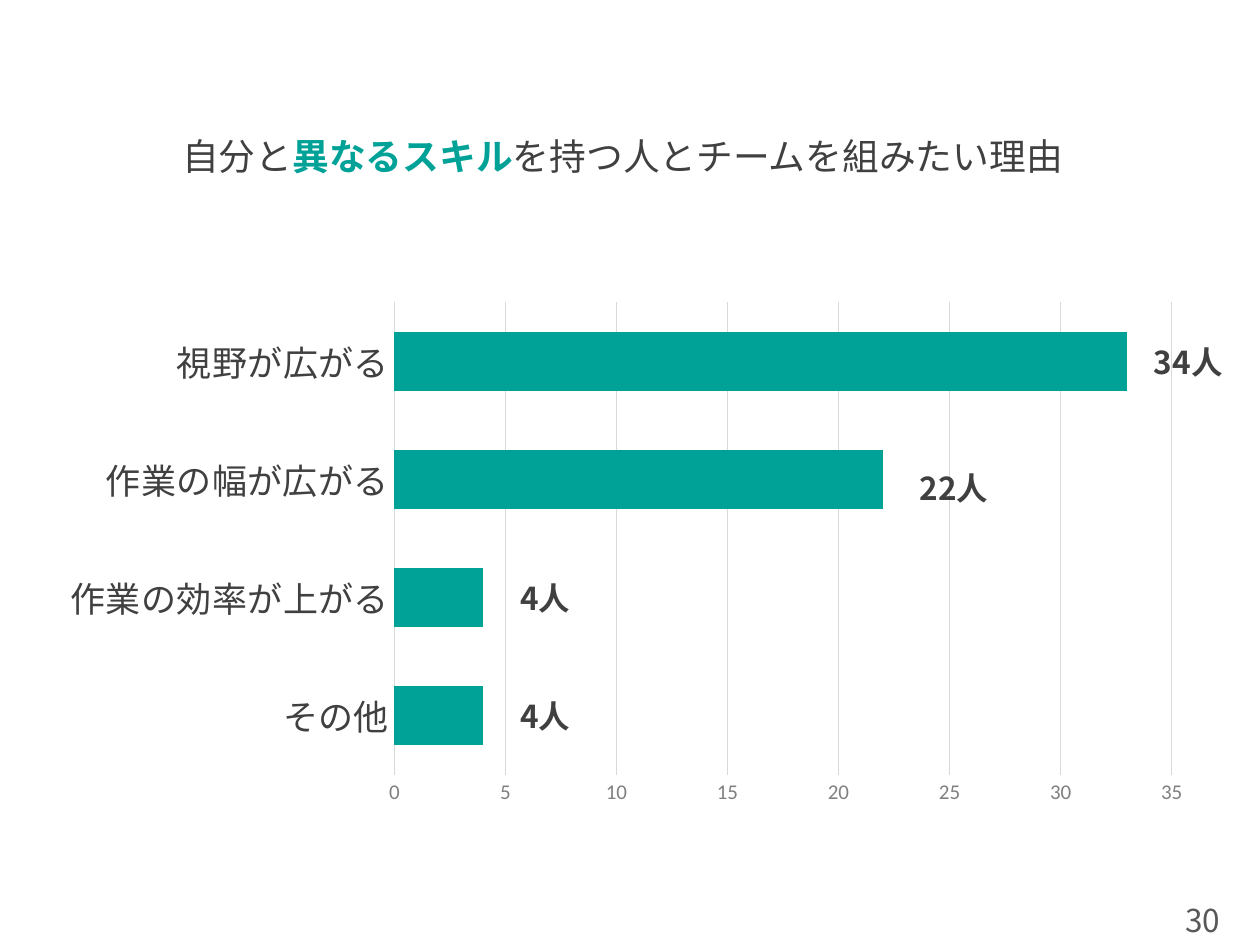
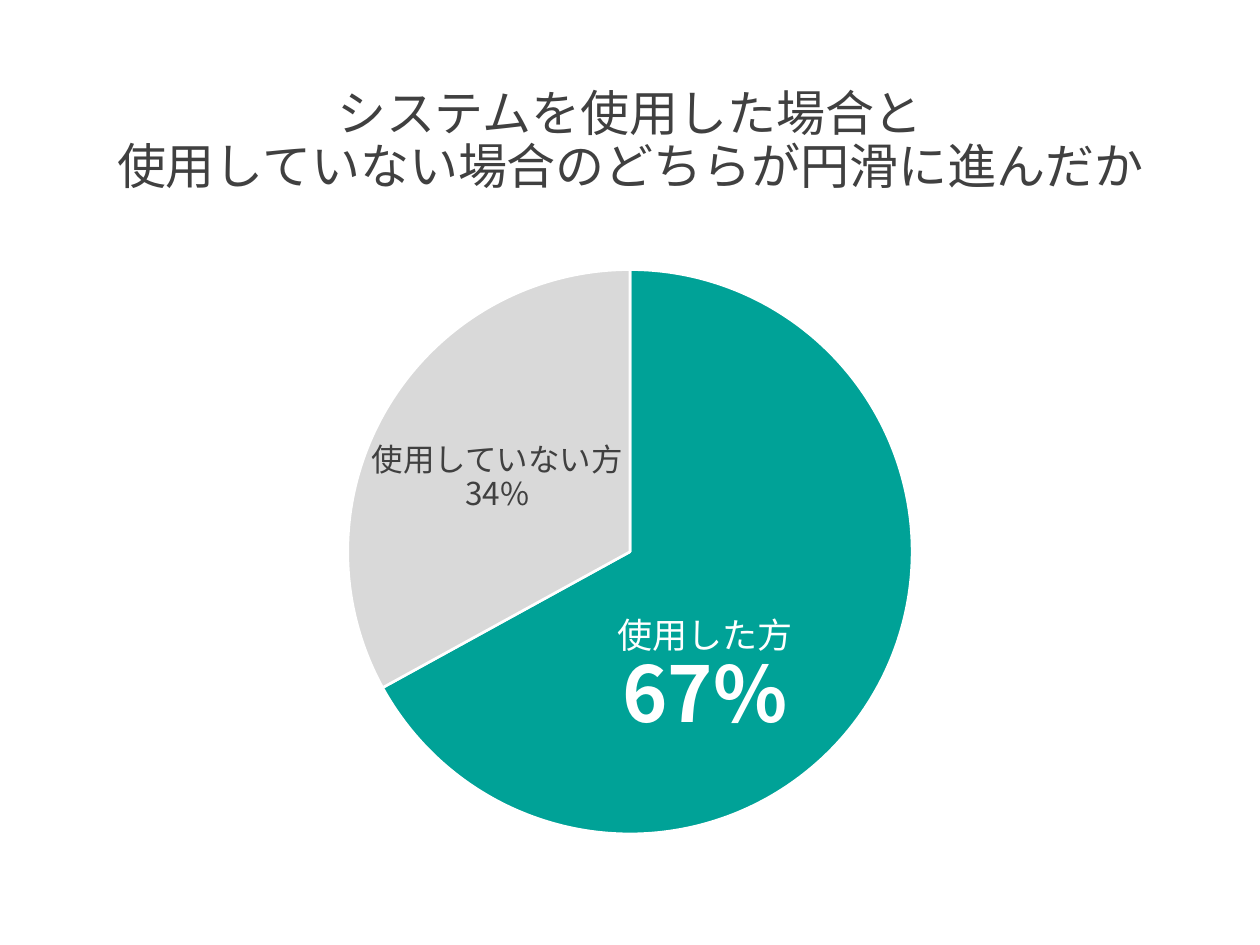
from dataclasses import dataclass

import pptx
import pptx.chart.chart
import pptx.chart.data
import pptx.dml.color
import pptx.enum.chart
import pptx.enum.text
import pptx.oxml
import pptx.oxml.ns
import pptx.slide
import pptx.text.text
import pptx.util
from lxml import etree

EMU_PER_PX = 9144  # 100 px to the inch
COLORS = {
    "accent": "00A297",
    "ink": "404040",
    "page": "595959",
    "axis": "808080",
    "grid": "D9D9D9",
    "white": "FFFFFF",
}
JAPANESE = "Noto Sans CJK JP"
LATIN = "Calibri"


@dataclass(frozen=True)
class Box:
    left: int
    top: int
    width: int
    height: int

    def emu(self) -> list[int]:
        return [px * EMU_PER_PX
                for px in (self.left, self.top, self.width, self.height)]


@dataclass(frozen=True)
class Run:
    text: str
    size: int
    color: str = "ink"
    bold: bool = False


@dataclass(frozen=True)
class Line:
    """Runs of one line; a soft line joins the paragraph before it."""
    runs: tuple[Run, ...]
    soft: bool = False


def rgb(color: str) -> pptx.dml.color.RGBColor:
    return pptx.dml.color.RGBColor.from_string(COLORS[color])


def style_font(font: pptx.text.text.Font, size: int, color: str,
               name: str = JAPANESE, bold: bool = False) -> None:
    font.size = pptx.util.Pt(size)
    font.bold = bold
    font.name = name
    font.color.rgb = rgb(color)
    # East Asian glyphs need their own typeface entry
    latin = font._element.find(pptx.oxml.ns.qn("a:latin"))
    east_asian = etree.Element(pptx.oxml.ns.qn("a:ea"), typeface=name)
    latin.addnext(east_asian)


def add_text(slide: pptx.slide.Slide, box: Box, *lines: Line,
             centred: bool = True) -> None:
    frame = slide.shapes.add_textbox(*box.emu()).text_frame
    frame.word_wrap = True
    if centred:
        frame.vertical_anchor = pptx.enum.text.MSO_ANCHOR.MIDDLE
    else:
        frame.auto_size = pptx.enum.text.MSO_AUTO_SIZE.SHAPE_TO_FIT_TEXT
    paragraph = frame.paragraphs[0]
    for index, line in enumerate(lines):
        if line.soft:
            paragraph.add_line_break()
        elif index:
            paragraph = frame.add_paragraph()
        if centred:
            paragraph.alignment = pptx.enum.text.PP_ALIGN.CENTER
            paragraph.line_spacing = 0.9
        for part in line.runs:
            run = paragraph.add_run()
            run.text = part.text
            style_font(run.font, part.size, part.color, bold=part.bold)


def add_chart(slide: pptx.slide.Slide, kind: pptx.enum.chart.XL_CHART_TYPE,
              box: Box, plot_box: Box,
              values: dict[str, int]) -> pptx.chart.chart.Chart:
    """Add a one-series chart whose plot area fills plot_box."""
    data = pptx.chart.data.CategoryChartData()
    data.categories = list(values)
    data.add_series("Series 1", list(values.values()))
    chart = slide.shapes.add_chart(kind, *box.emu(), data).chart
    chart.has_legend = False
    chart.has_title = False
    chart.font.size = pptx.util.Pt(10)
    chart.font.name = LATIN
    chart.plots[0].vary_by_categories = False

    # Fixed plot area, as fractions of the chart
    fractions = {
        "x": (plot_box.left - box.left) / box.width,
        "y": (plot_box.top - box.top) / box.height,
        "w": plot_box.width / box.width,
        "h": plot_box.height / box.height,
    }
    settings = [("layoutTarget", "inner"), ("xMode", "edge"), ("yMode", "edge")]
    settings += [(key, f"{value:.4f}") for key, value in fractions.items()]
    plot_area = chart._chartSpace.chart.plotArea
    for old in plot_area.findall(pptx.oxml.ns.qn("c:layout")):
        plot_area.remove(old)
    layout = etree.Element(pptx.oxml.ns.qn("c:layout"))
    manual = etree.SubElement(layout, pptx.oxml.ns.qn("c:manualLayout"))
    for tag, value in settings:
        etree.SubElement(manual, pptx.oxml.ns.qn(f"c:{tag}"), val=value)
    plot_area.insert(0, layout)
    return chart


def build_reasons(slide: pptx.slide.Slide) -> None:
    # Title
    add_text(slide, Box(63, 71, 862, 109), Line((
        Run("自分と", 21),
        Run("異なるスキル", 21, "accent", True),
        Run("を持つ人とチームを組みたい理由", 21),
    )))

    # Bar chart of reasons
    reasons = {"その他": 4, "作業の効率が上がる": 4,
               "作業の幅が広がる": 22, "視野が広がる": 33}
    chart = add_chart(slide, pptx.enum.chart.XL_CHART_TYPE.BAR_CLUSTERED,
                      Box(37, 232, 919, 416), Box(313, 240, 617, 375), reasons)
    bars = chart.plots[0]
    bars.gap_width = 100
    bars.series[0].format.fill.solid()
    bars.series[0].format.fill.fore_color.rgb = rgb("accent")

    reason_axis, people_axis = chart.category_axis, chart.value_axis
    for axis in (reason_axis, people_axis):
        axis.major_tick_mark = pptx.enum.chart.XL_TICK_MARK.NONE
        axis.minor_tick_mark = pptx.enum.chart.XL_TICK_MARK.NONE
    style_font(reason_axis.tick_labels.font, 20, "ink")
    style_font(people_axis.tick_labels.font, 12, "axis", LATIN)
    people_axis.minimum_scale = 0
    people_axis.maximum_scale = 35
    people_axis.major_unit = 5
    people_axis.has_major_gridlines = True
    people_axis.format.line.fill.background()
    for rule in (reason_axis.format.line, people_axis.major_gridlines.format.line):
        rule.color.rgb = rgb("grid")
        rule.width = pptx.util.Pt(0.75)

    # Head counts beside the bars
    for count, left, top in (("34人", 906, 267), ("22人", 720, 367),
                             ("4人", 403, 455), ("4人", 403, 548)):
        add_text(slide, Box(left, top, 94, 40),
                 Line((Run(count, 18, bold=True),)), centred=False)

    # Page number
    add_text(slide, Box(931, 710, 53, 40), Line((Run("30", 18, "page"),)),
             centred=False)


def build_comparison(slide: pptx.slide.Slide) -> None:
    # Title
    add_text(slide, Box(69, 40, 862, 145),
             Line((Run("システムを使用した場合と", 28),)),
             Line((Run("使用していない場合のどちらが円滑に進んだか", 28),), soft=True))

    # Pie of users and non-users
    chart = add_chart(slide, pptx.enum.chart.XL_CHART_TYPE.PIE,
                      Box(69, 200, 862, 476), Box(276, 214, 448, 448),
                      {"1": 67, "2": 33})
    for index, color in enumerate(("accent", "grid")):
        piece = chart.plots[0].series[0].points[index].format
        piece.fill.solid()
        piece.fill.fore_color.rgb = rgb(color)
        piece.line.color.rgb = rgb("white")
        piece.line.width = pptx.util.Pt(1.5)

    # Labels on the pieces
    add_text(slide, Box(389, 466, 341, 145),
             Line((Run("使用した方", 20, "white"),)),
             Line((Run("67%", 44, "white", True),)))
    add_text(slide, Box(224, 307, 341, 145),
             Line((Run("使用していない方", 18),)),
             Line((Run("34%", 18),)))


def main() -> None:
    deck = pptx.Presentation()
    deck.slide_width = 1000 * EMU_PER_PX
    deck.slide_height = 750 * EMU_PER_PX
    blank = deck.slide_layouts[6]
    for build in (build_reasons, build_comparison):
        build(deck.slides.add_slide(blank))
    deck.save("out.pptx")


if __name__ == "__main__":
    main()
